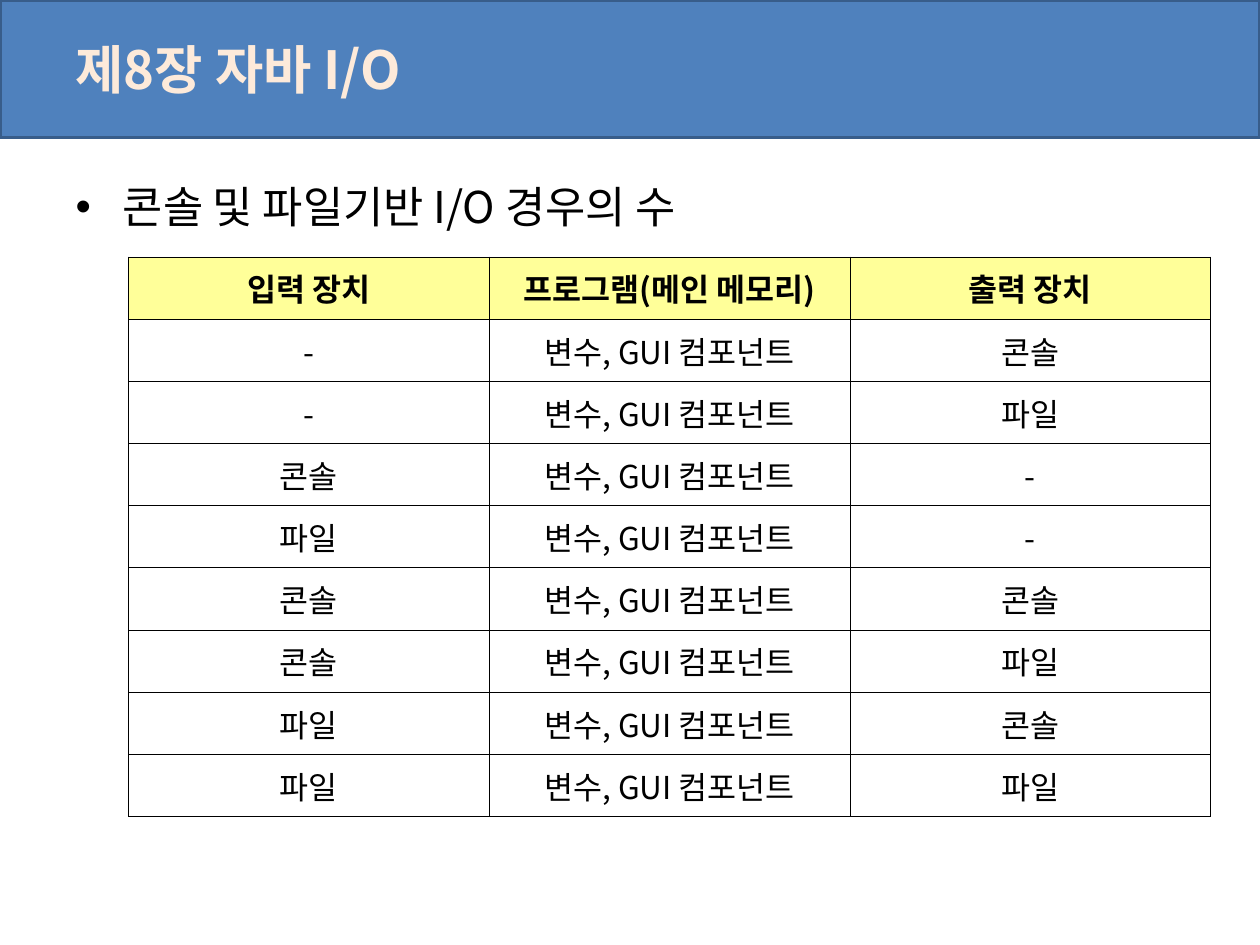
from pptx import Presentation
from pptx.dml.color import RGBColor
from pptx.enum.shapes import MSO_SHAPE
from pptx.enum.text import MSO_ANCHOR, MSO_AUTO_SIZE, PP_ALIGN
from pptx.util import Inches, Pt
from lxml import etree

RECT = MSO_SHAPE.RECTANGLE
MIDDLE, TOP = MSO_ANCHOR.MIDDLE, MSO_ANCHOR.TOP
LEFT, CENTER = PP_ALIGN.LEFT, PP_ALIGN.CENTER
NO_FIT = MSO_AUTO_SIZE.NONE
FONT = "Noto Sans CJK KR"
NS = "http://schemas.openxmlformats.org/drawingml/2006/main"
BLACK = "000000"


def color(code):
    return RGBColor.from_string(code)


def write(para, text, size, code, bold=False, align=LEFT):
    para.alignment = align
    run = para.add_run()
    run.text = text
    font = run.font
    font.size, font.bold, font.name = Pt(size), bold, FONT
    font.color.rgb = color(code)
    etree.SubElement(run._r.get_or_add_rPr(), f"{{{NS}}}ea", typeface=FONT)


deck = Presentation()
deck.slide_width, deck.slide_height = Inches(10), Inches(7.5)
W, H = deck.slide_width, deck.slide_height
slide = deck.slides.add_slide(deck.slide_layouts[1])
title, body = slide.placeholders

# Header band, behind the title
band = slide.shapes.add_shape(RECT, 0, 0, W, Inches(1.09))
band.shadow.inherit = False
band.fill.solid()
band.fill.fore_color.rgb = color("4F81BD")
band.line.color.rgb = color("385D8A")
band.line.width = Pt(2)
slide.shapes._spTree.insert(2, band._element)

# Title and bullet
edge = int(W * 0.05)
for box, top, high, anchor in ((title, -0.08, 1.25, MIDDLE), (body, 1.38, 4.95, TOP)):
    box.left, box.width = edge, W - 2 * edge
    box.top, box.height = Inches(top), Inches(high)
    box.text_frame.auto_size = NO_FIT
    box.text_frame.vertical_anchor = anchor
write(title.text_frame.paragraphs[0], "제8장 자바 I/O", 30, "FDEADA", True)
point = body.text_frame.paragraphs[0]
point.space_before = Pt(6.2)
write(point, "콘솔 및 파일기반 I/O 경우의 수", 25, BLACK)

# Table of input and output cases
NONE, CON, FILE = "-", "콘솔", "파일"
cases = [(NONE, CON), (NONE, FILE), (CON, NONE), (FILE, NONE),
         (CON, CON), (CON, FILE), (FILE, CON), (FILE, FILE)]
rows = [("입력 장치", "프로그램(메인 메모리)", "출력 장치")]
rows += [(src, "변수, GUI 컴포넌트", dest) for src, dest in cases]
wide, high = Inches(8.59), Inches(4.44)
table = slide.shapes.add_table(len(rows), 3, Inches(1.02), Inches(2.04), wide, high).table
table.horz_banding = False

for r, row in enumerate(rows):
    table.rows[r].height = high // len(rows)
    for c, text in enumerate(row):
        cell = table.cell(r, c)
        cell.vertical_anchor = MIDDLE
        write(cell.text_frame.paragraphs[0], text, 18, BLACK, r == 0, CENTER)
        # Borders come before the fill in the cell's XML
        props = cell._tc.get_or_add_tcPr()
        for side in ("lnL", "lnR", "lnT", "lnB"):
            line = etree.SubElement(props, f"{{{NS}}}{side}", w=str(Pt(0.45)))
            fill = etree.SubElement(line, f"{{{NS}}}solidFill")
            etree.SubElement(fill, f"{{{NS}}}srgbClr", val=BLACK)
        if r == 0:
            cell.fill.solid()
            cell.fill.fore_color.rgb = color("FFFF99")
        else:
            cell.fill.background()

deck.save("out.pptx")
